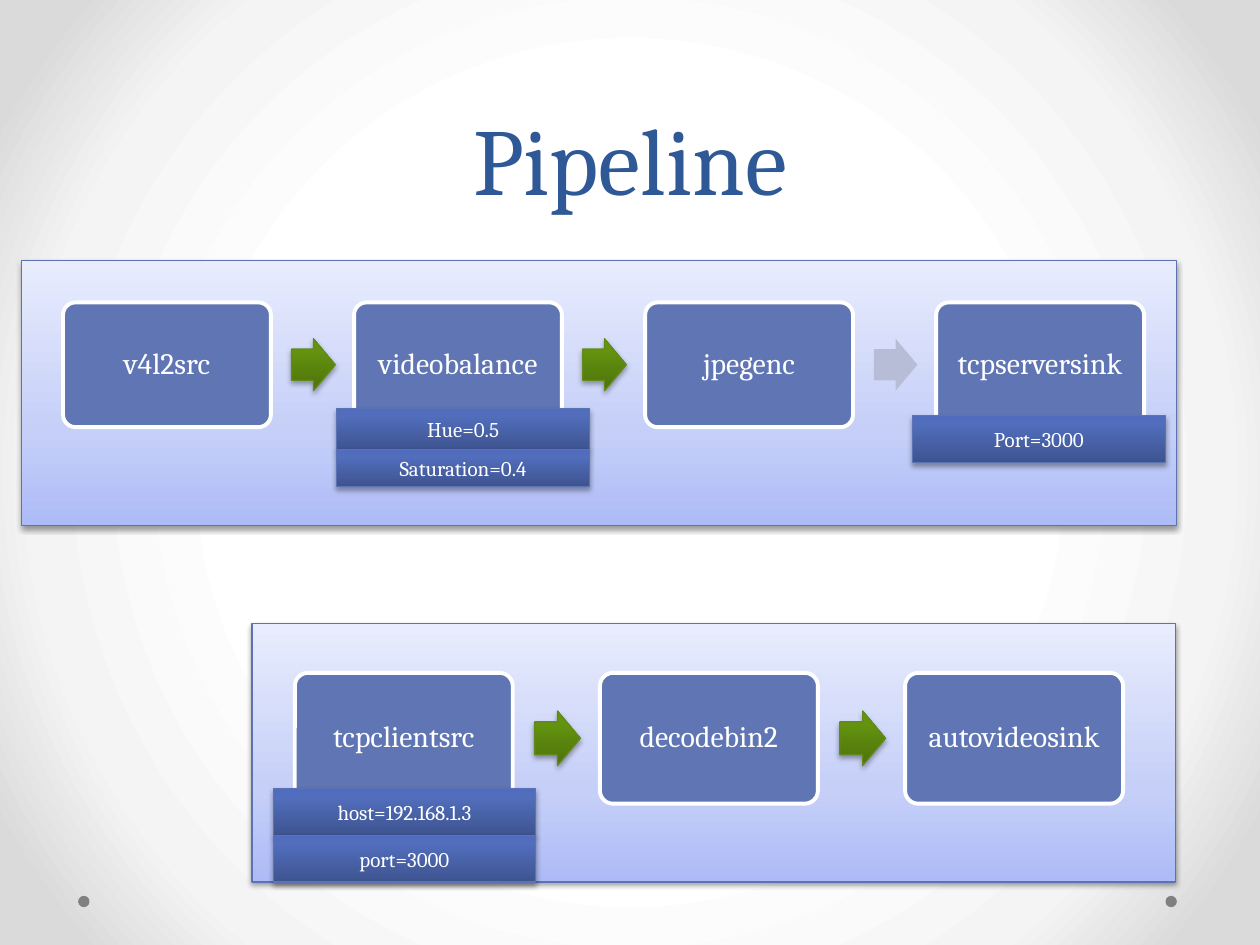
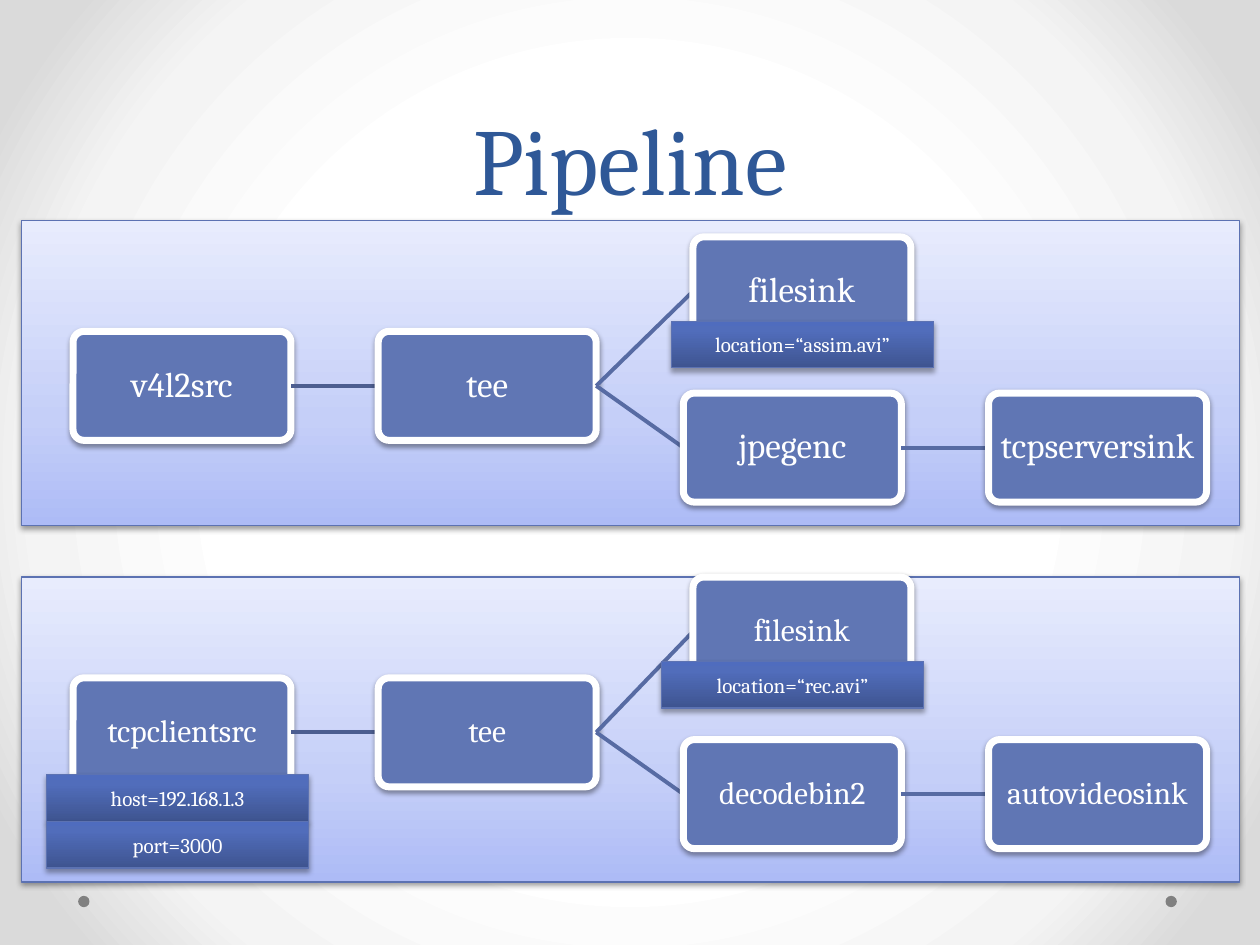
from dataclasses import dataclass

from lxml import etree
from pptx import Presentation
from pptx import util as u
from pptx.dml import color
from pptx.enum import shapes, text
from pptx.oxml import ns

Inches, Pt = u.Inches, u.Pt
SHAPE = shapes.MSO_SHAPE


@dataclass(frozen=True)
class Theme:
    font: str = "Cambria"
    title: str = "2F5897"
    white: str = "FFFFFF"
    dot: str = "808080"
    box: str = "6076B4"
    outline: str = "5C72B2"
    arrow_line: str = "62891C"
    faded: str = "B7BDD6"
    trunk: str = "4D5E90"
    link: str = "576BA3"
    backdrop: tuple = ((50, "FFFFFF"), (76, "F4F4F4"), (92, "DADADA"))
    panel: tuple = ((0, "ADBBF6"), (35, "C5CFF8"), (100, "E8ECFD"))
    tag: tuple = ((0, "3E5490"), (80, "516DBB"), (100, "4F6CBE"))
    arrow: tuple = ((0, "4D720B"), (80, "64940F"), (100, "65970C"))
    title_pt: int = 54
    title_leading: int = 58
    row_pt: int = 17
    tag_pt: int = 12
    thin: float = 0.75
    medium: float = 2.25
    thick: float = 4


def rgb(value):
    return color.RGBColor.from_string(value)


def add(parent, tag, **attrs):
    return etree.SubElement(parent, ns.qn(tag), {k: str(v) for k, v in attrs.items()})


def set_stops(grad, stops):
    gs_list = grad.find(ns.qn("a:gsLst"))
    for gs in list(gs_list):
        gs_list.remove(gs)
    for position, value in stops:
        add(add(gs_list, "a:gs", pos=position * 1000), "a:srgbClr", val=value)


class Deck:
    def __init__(self, theme):
        self.theme = theme
        self.prs = Presentation()
        self.prs.slide_width, self.prs.slide_height = Inches(10), Inches(7.5)
        self.s = None
        self.backdrop()

    def backdrop(self):
        master = self.prs.slide_master
        master.background.fill.gradient()
        grad = next(master._element.cSld.iter(ns.qn("a:gradFill")))
        set_stops(grad, self.theme.backdrop)
        grad.remove(grad.find(ns.qn("a:lin")))
        circle = add(grad, "a:path", path="circle")
        add(circle, "a:fillToRect", l=50000, t=50000, r=50000, b=50000)

    def slide(self):
        self.s = self.prs.slides.add_slide(self.prs.slide_layouts[5])
        for x in (9.25, 0.62):
            self.shape(SHAPE.OVAL, x, 7.11, 0.09, 0.09, self.theme.dot)

    def to_front(self, sp):
        self.s.shapes._spTree.append(sp._element)

    def shape(self, kind, x, y, w, h, fill, line=None, line_pt=0, shadow=None):
        sp = self.s.shapes.add_shape(kind, Inches(x), Inches(y), Inches(w), Inches(h))
        if isinstance(fill, str):
            sp.fill.solid()
            sp.fill.fore_color.rgb = rgb(fill)
        else:
            sp.fill.gradient()
            sp.fill.gradient_angle = 90
            set_stops(sp._element.spPr.find(ns.qn("a:gradFill")), fill)
        if line:
            sp.line.color.rgb = rgb(line)
            sp.line.width = Pt(line_pt)
        else:
            sp.line.fill.background()
        sp.shadow.inherit = False
        if shadow:
            alpha, distance = shadow
            outer = add(sp._element.spPr.find(ns.qn("a:effectLst")), "a:outerShdw",
                        blurRad=Pt(3.1), dist=Pt(distance), dir=5400000, rotWithShape=0)
            add(add(outer, "a:srgbClr", val="000000"), "a:alpha", val=alpha * 1000)
        return sp

    def label(self, sp, words, size, value, spacing=None, anchor=text.MSO_ANCHOR.MIDDLE, inset=None):
        tf = sp.text_frame
        tf.text = words
        tf.word_wrap = True
        tf.auto_size = text.MSO_AUTO_SIZE.NONE
        tf.vertical_anchor = anchor
        if inset is not None:
            tf.margin_left = tf.margin_right = tf.margin_top = tf.margin_bottom = Inches(inset)
        p = tf.paragraphs[0]
        p.alignment = text.PP_ALIGN.CENTER
        p.line_spacing = spacing
        r = p.runs[0]
        r.font.name, r.font.size = self.theme.font, Pt(size)
        r.font.color.rgb = rgb(value)

    def title(self, words):
        t = self.theme
        sp = self.s.shapes.title
        sp.left, sp.top, sp.width, sp.height = Inches(0.5), Inches(0), Inches(9), Inches(1.75)
        self.label(sp, words, t.title_pt, t.title, Pt(t.title_leading), text.MSO_ANCHOR.BOTTOM)
        self.to_front(sp)

    def panel(self, x, y, w, h):
        t = self.theme
        self.shape(SHAPE.RECTANGLE, x, y, w, h, t.panel, t.outline, t.thin, (38, 1.6))

    def box(self, x, y, w, h, words, size, line_pt, inset, shadow=None):
        t = self.theme
        sp = self.shape(SHAPE.ROUNDED_RECTANGLE, x, y, w, h, t.box, t.white, line_pt, shadow)
        sp.adjustments[0] = 0.1
        self.label(sp, words, size, t.white, 0.9, inset=inset)
        return sp

    def arrow(self, x, y, w, h, faded):
        t = self.theme
        style = (t.faded,) if faded else (t.arrow, t.arrow_line, t.thin, (35, 1.8))
        sp = self.shape(SHAPE.RIGHT_ARROW, x, y, w, h, *style)
        sp.adjustments[0], sp.adjustments[1] = 0.6, 0.5

    def row(self, x, y, w, names, fade_last=False):
        t = self.theme
        h, step = 0.6 * w, 1.4 * w
        arrow_w, arrow_h = 0.21 * w, 0.25 * w
        for i, name in enumerate(names):
            left = x + i * step
            if i:
                self.arrow(left - 0.3 * w, y + (h - arrow_h) / 2, arrow_w, arrow_h,
                           fade_last and i == len(names) - 1)
            self.box(left, y, w, h, name, t.row_pt, t.medium, 0.07)

    def link(self, source, target, value):
        cx = self.s.shapes.add_connector(shapes.MSO_CONNECTOR.STRAIGHT, 0, 0, 0, 0)
        cx.begin_connect(source, 3)
        cx.end_connect(target, 1)
        cx.line.color.rgb = rgb(value)
        cx.line.width = Pt(self.theme.medium)
        add(cx._element.spPr, "a:effectLst")
        self.to_front(target)

    def branch(self, y, lift, names, size):
        t = self.theme
        x, w = 0.58, 1.73
        step = 1.4 * w
        places = ((x, y), (x + step, y), (5.5, y - lift),
                  (x + 2 * step, y + 0.49), (x + 3 * step, y + 0.49))
        source, tee, sink, coder, end = [
            self.box(left, top, w, w / 2, name, size, t.thick, 0.01, (38, 1.6))
            for (left, top), name in zip(places, names)]
        self.link(source, tee, t.trunk)
        for start, target in ((tee, sink), (tee, coder), (coder, end)):
            self.link(start, target, t.link)

    def tags(self, x, y, w, *rows):
        t = self.theme
        for words, h in rows:
            sp = self.shape(SHAPE.RECTANGLE, x, y, w, h, t.tag, t.outline, t.thin, (35, 1.8))
            self.label(sp, words, t.tag_pt, t.white)
            y += h


def main():
    deck = Deck(Theme())
    tag_h = 0.37
    client = (("host=192.168.1.3", tag_h), ("port=3000", tag_h))

    deck.slide()
    deck.panel(0.17, 2.07, 9.17, 2.1)
    deck.panel(2, 4.95, 7.33, 2.05)
    deck.row(2.34, 5.34, 1.73, ("tcpclientsrc", "decodebin2", "autovideosink"))
    deck.title("Pipeline")
    deck.row(0.5, 2.4, 1.65, ("v4l2src", "videobalance", "jpegenc", "tcpserversink"), True)
    deck.tags(2.67, 3.24, 2.01, ("Hue=0.5", 0.33), ("Saturation=0.4", 0.29))
    deck.tags(2.17, 6.26, 2.08, *client)
    deck.tags(7.24, 3.3, 2.01, ("Port=3000", tag_h))

    deck.slide()
    for y in (4.58, 1.75):
        deck.panel(0.17, y, 9.67, 2.42)
    deck.branch(2.63, 0.75, ("v4l2src", "tee", "filesink", "jpegenc", "tcpserversink"), 20)
    deck.title("Pipeline")
    deck.branch(5.38, 0.8, ("tcpclientsrc", "tee", "filesink", "decodebin2", "autovideosink"), 18)
    deck.tags(0.37, 6.15, 2.08, *client)
    deck.tags(5.25, 5.25, 2.08, ("location=“rec.avi”", tag_h))
    deck.tags(5.33, 2.55, 2.08, ("location=“assim.avi”", tag_h))

    deck.prs.save("out.pptx")


if __name__ == "__main__":
    main()
